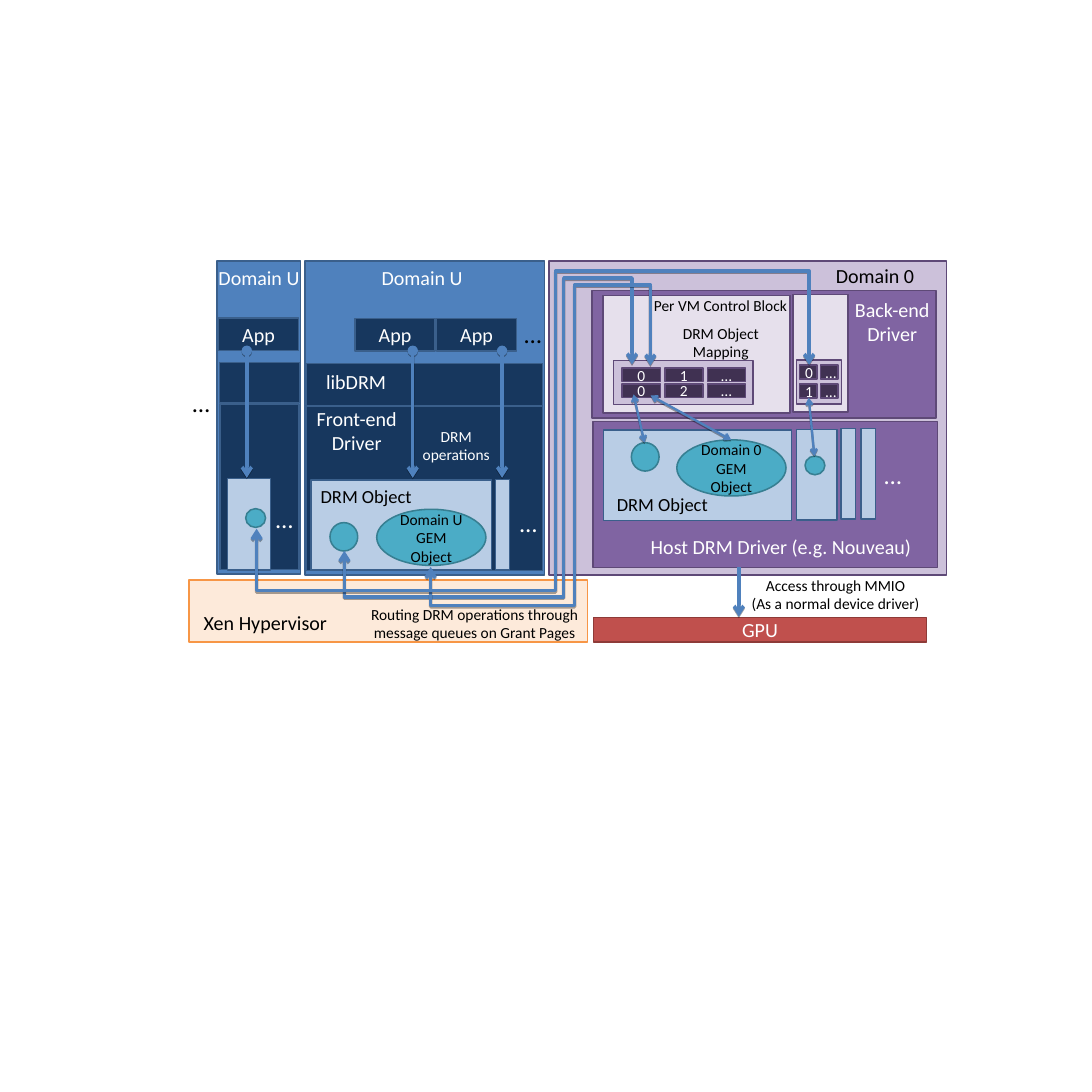
"""Draw the GPU virtualisation architecture: guest domains, Domain 0, hypervisor and GPU."""
from dataclasses import dataclass

from lxml.etree import SubElement
from pptx import Presentation
from pptx.dml.color import RGBColor
from pptx.enum.shapes import MSO_CONNECTOR, MSO_SHAPE as SHAPE
from pptx.enum.text import MSO_ANCHOR, MSO_AUTO_SIZE, PP_ALIGN
from pptx.oxml.ns import qn
from pptx.util import Cm, Pt


@dataclass(frozen=True)
class Theme:
    font: str = "Calibri"
    white: str = "FFFFFF"
    black: str = "000000"
    arrow: str = "4F81BD"
    guest: tuple = ("4F81BD", "3A5F8B")
    guest_dark: tuple = ("17375E", "3A5F8B")
    drm: tuple = ("B9CDE5", "3A5F8B")
    gem: tuple = ("4BACC6", "377F92")
    host: tuple = ("CCC1DA", "5E4977")
    driver: tuple = ("8064A2", "5E4977")
    block: tuple = ("E6E0EC", "5E4977")
    cell: tuple = ("403152", "5E4977")
    xen: tuple = ("FDEADA", "F79646")
    gpu: tuple = ("C0504D", "8E3B38")
    title: int = 26
    label: int = 24
    small: int = 20
    dots: int = 32
    outline: float = 2
    thick: float = 4.5
    thin: float = 3


T = Theme()


def add_box(x, y, w, h, look=None, text="", size=T.title, color=T.white, kind=SHAPE.RECTANGLE):
    at = Cm(x), Cm(y), Cm(w), Cm(h)
    if look:
        sp = s.shapes.add_shape(kind, *at)
        sp.shadow.inherit = False
        sp.fill.solid()
        sp.fill.fore_color.rgb = RGBColor.from_string(look[0])
        sp.line.color.rgb = RGBColor.from_string(look[1])
        sp.line.width = Pt(T.outline)
    else:
        sp = s.shapes.add_textbox(*at)
    if not text:
        return
    tf = sp.text_frame
    tf.word_wrap = bool(look)
    if look:
        tf.vertical_anchor = MSO_ANCHOR.MIDDLE
    else:
        tf.auto_size = MSO_AUTO_SIZE.SHAPE_TO_FIT_TEXT
    for i, line in enumerate(text.split("\n")):
        p = tf.add_paragraph() if i else tf.paragraphs[0]
        p.alignment = PP_ALIGN.CENTER
        r = p.add_run()
        r.text = line
        r.font.name = T.font
        r.font.size = Pt(size)
        r.font.color.rgb = RGBColor.from_string(color)


def style_arrow(sp, width, head=None):
    sp.line.color.rgb = RGBColor.from_string(T.arrow)
    sp.line.width = Pt(width)
    ln = sp.line._get_or_add_ln()
    if head:
        SubElement(ln, qn("a:headEnd"), type=head)
    SubElement(ln, qn("a:tailEnd"), type="arrow")
    effects = SubElement(sp._element.spPr, qn("a:effectLst"))
    shadow = SubElement(effects, qn("a:outerShdw"), dist=str(Pt(1.8)), dir="5400000", rotWithShape="0")
    black = SubElement(shadow, qn("a:srgbClr"), val=T.black)
    SubElement(black, qn("a:alpha"), val="35000")


prs = Presentation()
prs.slide_width = prs.slide_height = Cm(50)
s = prs.slides.add_slide(prs.slide_layouts[6])

panels = [
    (13.97, 11.94, 10.97, 14.4, T.guest),
    (14, 18.59, 10.85, 7.54, T.guest_dark),
    (14, 16.64, 10.85, 1.93, T.guest_dark),
    (14.25, 21.97, 8.26, 4.14, T.drm),
    (22.68, 21.95, 0.66, 4.14, T.drm),
    (9.93, 11.94, 3.84, 14.35, T.guest),
    (10.08, 18.49, 3.61, 7.59, T.guest_dark),
    (10.06, 16.59, 3.66, 1.85, T.guest_dark),
    (10.41, 21.92, 1.98, 4.17, T.drm),
    (25.15, 11.94, 18.19, 14.38, T.host),
    (27.15, 19.3, 15.77, 6.68, T.driver),
    (27.1, 13.31, 15.77, 5.84, T.driver),
    (27.64, 19.69, 8.61, 4.14, T.drm),
    (36.47, 19.66, 1.85, 4.14, T.drm),
    (38.51, 19.63, 0.66, 4.14, T.drm),
    (39.42, 19.63, 0.66, 4.14, T.drm),
    (27.61, 13.54, 8.56, 5.38, T.block),
    (28.09, 16.51, 6.38, 2.01, T.host),
    (36.32, 13.49, 2.51, 5.38, T.block),
    (36.47, 16.48, 2.06, 2.01, T.host),
    (8.66, 26.57, 18.24, 2.84, T.xen),
    (27.18, 28.27, 15.24, 1.14, T.gpu, "GPU"),
]
for panel in panels:
    add_box(*panel)

for x, y in [(10.01, 14.55), (16.26, 14.58), (19.99, 14.58)]:
    add_box(x, y, 3.66, 1.5, T.guest_dark, "App")

for x, y, w, h in [(15.11, 23.93, 1.27, 1.3), (28.91, 20.27, 1.27, 1.3),
                   (11.25, 23.29, 0.91, 0.86), (36.86, 20.88, 0.91, 0.86)]:
    add_box(x, y, w, h, T.gem, kind=SHAPE.OVAL)
for x, y, domain in [(17.25, 23.32, "Domain U"), (30.99, 20.14, "Domain 0")]:
    add_box(x, y, 5, 2.57, T.gem, f"{domain}\nGEM\nObject", T.small, T.black, SHAPE.OVAL)

mappings = [
    (28.49, 16.86, 1.95, 0.73, 1.75, 0.61, ["01…", "02…"]),
    (36.61, 16.71, 0.95, 0.87, 0.81, 0.64, ["0…", "1…"]),
]
for left, top, dx, dy, w, h, rows in mappings:
    for i, row in enumerate(rows):
        for j, entry in enumerate(row):
            add_box(left + j * dx, top + i * dy, w, h, T.cell, entry, T.small)

straight_arrows = [(x, 16.06, x, 21.88, T.thick, "oval") for x in (11.3, 18.9, 22.99)] + [
    (33.83, 25.98, 33.83, 28.24, T.thick, None),
    (33.48, 20.14, 29.79, 18.11, T.thin, "arrow"),
    (29.51, 20.27, 29.01, 18.06, T.thin, "arrow"),
    (37.29, 20.88, 37.03, 18.21, T.thin, "arrow"),
]
for x1, y1, x2, y2, width, head in straight_arrows:
    line = s.shapes.add_connector(MSO_CONNECTOR.STRAIGHT, Cm(x1), Cm(y1), Cm(x2), Cm(y2))
    style_arrow(line, width, head)

routes = [
    (15.77, 25.22, 27.33, 25.81, 12.73, 28.94, 16.69),
    (19.72, 25.96, 27.72, 26.31, 13.04, 29.78, 16.74),
    (11.75, 24.21, 27.05, 25.44, 12.4, 37.05, 16.71),
]
for x1, y1, bottom, trunk, top, x2, y2 in routes:
    corners = [(x1, bottom), (trunk, bottom), (trunk, top), (x2, top), (x2, y2)]
    fb = s.shapes.build_freeform(Cm(x1), Cm(y1))
    fb.add_line_segments([(Cm(x), Cm(y)) for x, y in corners], close=False)
    route = fb.convert_to_shape()
    route.fill.background()
    style_arrow(route, T.thick, "arrow")

labels = [
    (9.75, 12.01, 4.22, 1.35, "Domain U", T.title, T.white),
    (17.22, 12.01, 4.22, 1.35, "Domain U", T.title, T.white),
    (37.59, 11.94, 4.95, 1.35, "Domain 0", T.title, T.black),
    (14.18, 16.81, 4.25, 1.35, "libDRM", T.title, T.white),
    (14.25, 18.47, 4.17, 2.44, "Front-end\nDriver", T.title, T.white),
    (37.39, 13.49, 6.93, 2.44, "Back-end\nDriver", T.title, T.white),
    (29.29, 24.33, 12.95, 1.35, "Host DRM Driver (e.g. Nouveau)", T.title, T.white),
    (8.08, 27.81, 8.15, 1.35, "Xen Hypervisor", T.title, T.black),
    (14.43, 22.07, 4.67, 1.27, "DRM Object", T.label, T.black),
    (27.99, 22.45, 4.67, 1.27, "DRM Object", T.label, T.black),
    (19.1, 19.43, 3.58, 1.96, "DRM\noperations", T.small, T.white),
    (16.74, 27.56, 9.98, 1.96, "Routing DRM operations through\nmessage queues on Grant Pages",
     T.small, T.black),
    (34.16, 26.24, 8.2, 1.96, "Access through MMIO\n(As a normal device driver)", T.small, T.black),
    (29.69, 13.44, 6.6, 1.09, "Per VM Control Block", T.small, T.black),
    (31.01, 14.71, 3.99, 1.96, "DRM Object\nMapping", T.small, T.black),
    (8.56, 17.65, 1.3, 1.6, "…", T.dots, T.black),
    (23.75, 14.48, 1.3, 1.6, "…", T.dots, T.black),
    (12.37, 22.94, 1.3, 1.6, "…", T.dots, T.white),
    (23.55, 23.14, 1.3, 1.6, "…", T.dots, T.white),
    (40.23, 20.93, 1.3, 1.6, "…", T.dots, T.white),
]
for x, y, w, h, text, size, color in labels:
    add_box(x, y, w, h, None, text, size, color)

prs.save("out.pptx")
